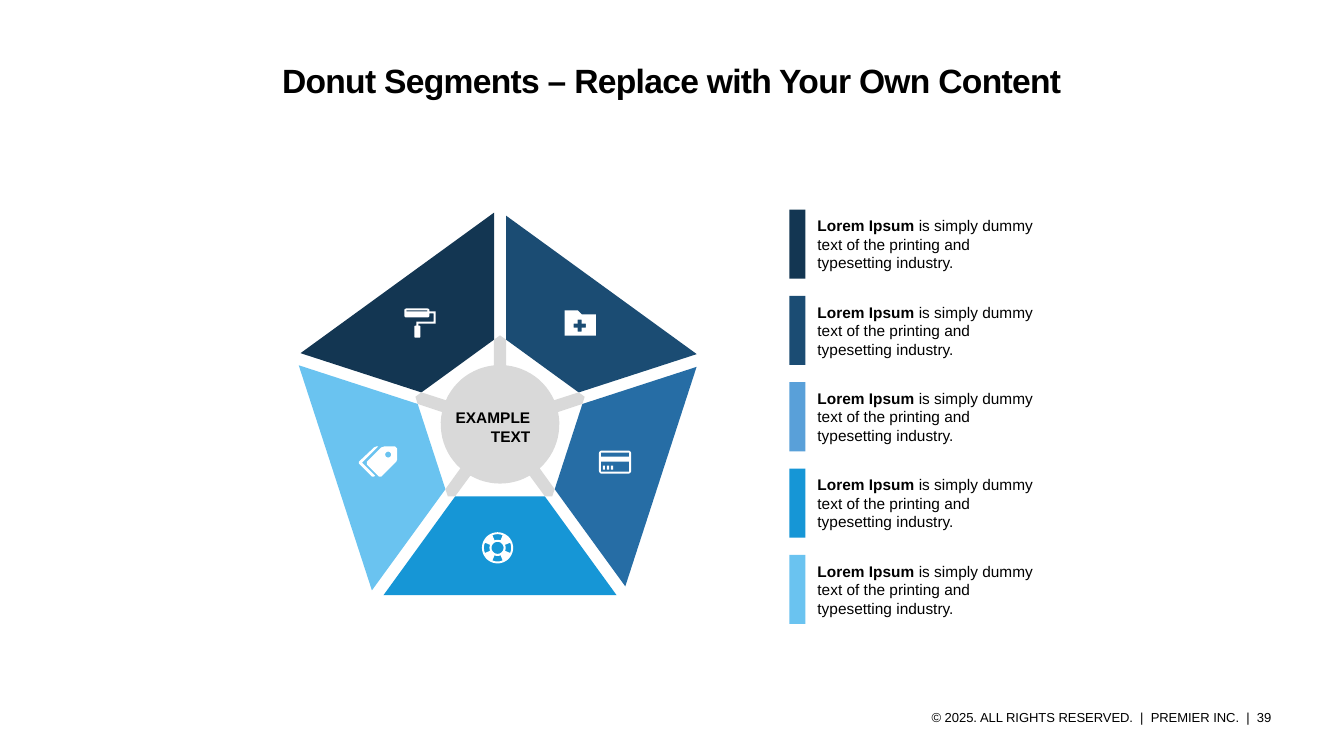
from dataclasses import dataclass
from math import cos, radians, sin

from pptx import Presentation
from pptx import util as u
from pptx.dml.color import RGBColor
from pptx.enum import shapes, text


@dataclass(frozen=True)
class Theme:
    font: str = "Arial"
    ink: str = "000000"
    white: str = "FFFFFF"
    hub: str = "D9D9D9"
    segments: tuple = ("1B4C73", "266DA5", "1696D6", "6AC3F0", "133652")
    legend: tuple = ("133652", "1B4C73", "59A0D9", "1696D6", "6AC3F0")
    title_size: float = 24
    body_size: float = 11
    footer_size: float = 9.3


@dataclass(frozen=True)
class Box:
    left: float
    top: float
    width: float
    height: float

    def emu(self):
        return [u.Inches(v) for v in (self.left, self.top, self.width, self.height)]


THEME = Theme()
UNITS_PER_INCH = 1000


# Drawing helpers
def paint(shape, colour):
    shape.shadow.inherit = False
    shape.fill.solid()
    shape.fill.fore_color.rgb = RGBColor.from_string(colour)
    shape.line.fill.background()


def outline(slide, contours, colour, origin=(0, 0)):
    builder = None
    for contour in contours:
        points = [((x + origin[0]) * UNITS_PER_INCH, (y + origin[1]) * UNITS_PER_INCH)
                  for x, y in contour]
        if builder is None:
            builder = slide.shapes.build_freeform(*points[0], scale=u.Inches(1) / UNITS_PER_INCH)
        else:
            builder.move_to(*points[0])
        builder.add_line_segments(points[1:], close=True)
    paint(builder.convert_to_shape(), colour)


def write(slide, box, paragraphs, size, insets=(0.1, 0.05, 0.1, 0.05), **formats):
    """Each paragraph is a list of (wording, bold) runs."""
    frame = slide.shapes.add_textbox(*box.emu()).text_frame
    frame.word_wrap = True
    frame.vertical_anchor = text.MSO_ANCHOR.MIDDLE
    for side, inset in zip(("left", "top", "right", "bottom"), insets):
        setattr(frame, f"margin_{side}", u.Inches(inset))
    for index, runs in enumerate(paragraphs):
        paragraph = frame.paragraphs[0] if index == 0 else frame.add_paragraph()
        for name, value in formats.items():
            setattr(paragraph, name, value)
        for wording, bold in runs:
            run = paragraph.add_run()
            run.text = wording
            run.font.color.rgb = RGBColor.from_string(THEME.ink)
            for name, value in {"name": THEME.font, "size": u.Pt(size), "bold": bold}.items():
                setattr(run.font, name, value)
    return frame


def arc(cx, cy, radius, start, end, steps=12):
    angles = [radians(start + (end - start) * i / steps) for i in range(steps + 1)]
    return [(cx + radius * cos(a), cy + radius * sin(a)) for a in angles]


def rect(left, top, right, bottom, corner=0.0):
    if not corner:
        return [(left, top), (right, top), (right, bottom), (left, bottom)]
    l, t, r, b = left + corner, top + corner, right - corner, bottom - corner
    corners = [(l, t, 180), (r, t, 270), (r, b, 0), (l, b, 90)]
    return [p for x, y, a in corners for p in arc(x, y, corner, a, a + 90, 4)]


# Icons: contours measured from the icon's top left corner
def paint_roller():
    arm = [(0.25, 0.03), (0.31, 0.03), (0.31, 0.15), (0.14, 0.15), (0.14, 0.17),
           (0.12, 0.17), (0.12, 0.13), (0.29, 0.13), (0.29, 0.05), (0.25, 0.05)]
    return [rect(0, 0, 0.25, 0.09, 0.02), rect(0.02, 0.02, 0.23, 0.03), arm,
            rect(0.1, 0.17, 0.16, 0.29, 0.01)]


def folder():
    body = [(0, 0), (0.13, 0), (0.17, 0.04), (0.31, 0.04), (0.31, 0.25), (0, 0.25)]
    plus = [(0.13, 0.09), (0.17, 0.09), (0.17, 0.13), (0.21, 0.13), (0.21, 0.17), (0.17, 0.17),
            (0.17, 0.21), (0.13, 0.21), (0.13, 0.17), (0.09, 0.17), (0.09, 0.13), (0.13, 0.13)]
    return [body, plus]


def card():
    digits = [rect(x, 0.15, x + 0.02, 0.19) for x in (0.04, 0.08, 0.12)]
    return [rect(0, 0, 0.32, 0.23, 0.03), rect(0.02, 0.02, 0.3, 0.06),
            rect(0.02, 0.11, 0.3, 0.21), *digits]


def lifebuoy():
    c = 0.155
    bands = [arc(c, c, 0.135, a - 22, a + 22) + arc(c, c, 0.08, a + 22, a - 22)
             for a in range(0, 360, 90)]
    return [arc(c, c, c, 0, 360, 40), arc(c, c, 0.06, 0, 360, 24), *bands]


def tags():
    front = [(0.25, 0), (0.36, 0), (0.38, 0.02), (0.38, 0.13), (0.37, 0.15),
             (0.22, 0.3), (0.2, 0.3), (0.08, 0.18), (0.08, 0.15), (0.22, 0.01)]
    back = [(0.03, 0.16), (0.19, 0), (0.17, 0), (0.15, 0.01), (0, 0.15), (0, 0.17),
            (0.13, 0.3), (0.15, 0.3), (0.16, 0.29)]
    return [front, arc(0.29, 0.08, 0.03, 0, 360), back]


# Regions
def add_title(slide, box):
    frame = write(slide, box, [[("Donut Segments – Replace with Your Own Content", True)]],
                  THEME.title_size, (0, 0, 0, 0),
                  alignment=text.PP_ALIGN.CENTER, line_spacing=0.86)
    frame.paragraphs[0].runs[0].font._element.set("spc", "-50")


def add_footer(slide, box):
    write(slide, box, [[("© 2025. ALL RIGHTS RESERVED.  |  PREMIER INC.  |  39", False)]],
          THEME.footer_size, (0.18, 0.09, 0.18, 0.09), alignment=text.PP_ALIGN.RIGHT)


def add_donut(slide, box):
    cx, cy = box.left + box.width / 2, box.top + box.height / 2
    inner, tip, hub_radius, half_gap = (box.width * s for s in (0.2, 0.21, 0.14, 0.0143))

    def by_spoke(index, along, across):
        a = radians(72 * index - 90)
        return (cx + along * cos(a) - across * sin(a), cy + along * sin(a) + across * cos(a))

    # Segments run clockwise from the top spoke
    reaches = (2.07, 2.03, 2.05, 2.08, 2.1)
    for index, (colour, reach) in enumerate(zip(THEME.segments, reaches)):
        segment = [by_spoke(index, reach, half_gap), by_spoke(index + 1, reach, -half_gap),
                   by_spoke(index + 1, inner, -half_gap), by_spoke(index, inner, half_gap)]
        outline(slide, [segment], colour)

    # Hub with five pointed spokes
    hub = []
    for index in range(5):
        hub += [by_spoke(index, inner, -half_gap), by_spoke(index, tip, 0),
                by_spoke(index, inner, half_gap)]
        hub += arc(cx, cy, hub_radius, 72 * index - 84, 72 * index - 24)
    outline(slide, [hub], THEME.hub)
    write(slide, Box(cx - 0.54, cy - 0.21, 1.08, 0.47),
          [[("EXAMPLE", True)], [("TEXT", True)]], THEME.body_size,
          (0.05, 0.05, 0.24, 0.05), alignment=text.PP_ALIGN.RIGHT)

    # One icon per segment, offset from the centre
    icons = ((folder, 0.64, -1.13), (card, 0.98, 0.26), (lifebuoy, -0.18, 1.07),
             (tags, -1.4, 0.22), (paint_roller, -0.95, -1.15))
    for icon, dx, dy in icons:
        outline(slide, icon(), THEME.white, (cx + dx, cy + dy))


def add_legend(slide, box):
    bar_height = box.height / 6
    pitch = (box.height - bar_height) / (len(THEME.legend) - 1)
    for row, colour in enumerate(THEME.legend):
        top = box.top + row * pitch
        bar = Box(box.left, top, 0.16, bar_height)
        paint(slide.shapes.add_shape(shapes.MSO_SHAPE.RECTANGLE, *bar.emu()), colour)
        write(slide, Box(box.left + 0.18, top + 0.01, box.width - 0.18, bar_height - 0.02),
              [[("Lorem Ipsum", True),
                (" is simply dummy text of the printing and typesetting industry.", False)]],
              THEME.body_size)


def main():
    deck = Presentation()
    deck.slide_width, deck.slide_height = u.Inches(13.33), u.Inches(7.5)
    slide = deck.slides.add_slide(deck.slide_layouts[6])
    add_footer(slide, Box(8.3, 6.95, 4.49, 0.34))
    add_title(slide, Box(0.5, 0.43, 12.32, 0.78))
    add_donut(slide, Box(2.86, 2.11, 4.2, 4.2))
    add_legend(slide, Box(7.83, 2.08, 2.54, 4.11))
    deck.save("out.pptx")


if __name__ == "__main__":
    main()
